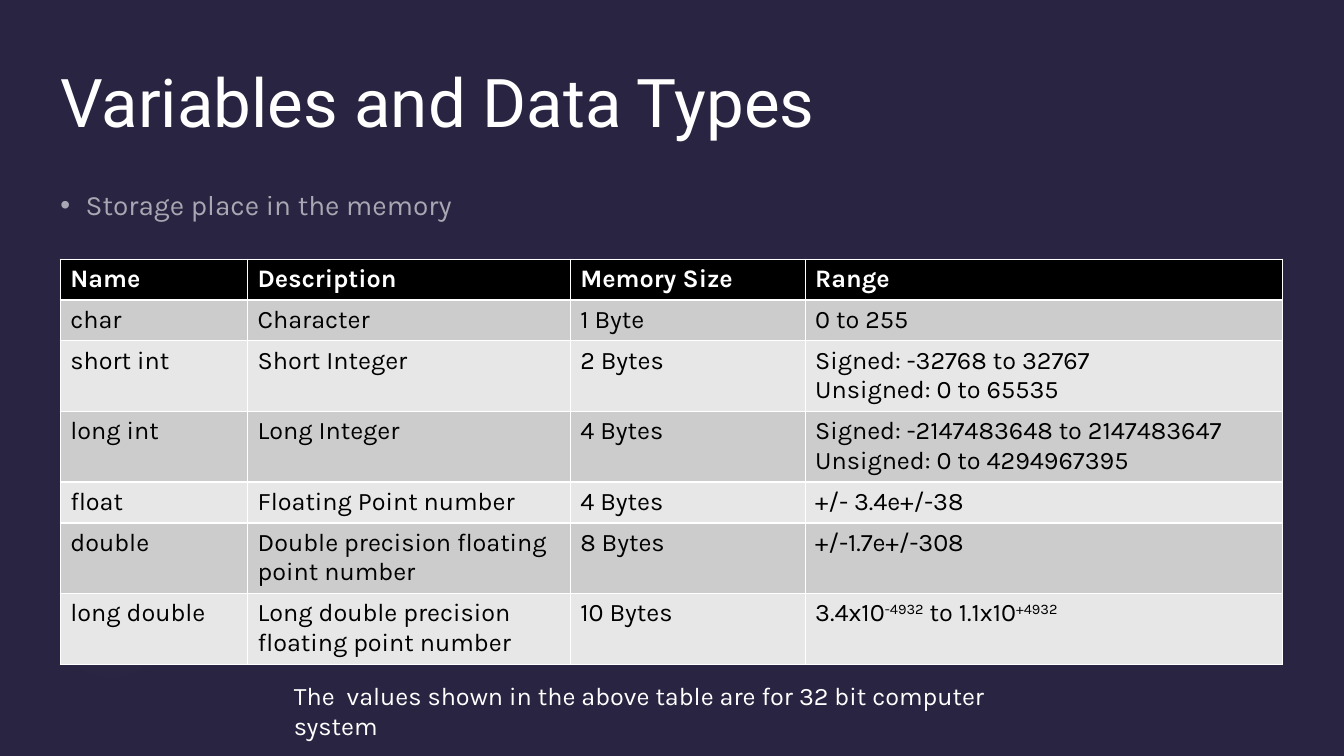
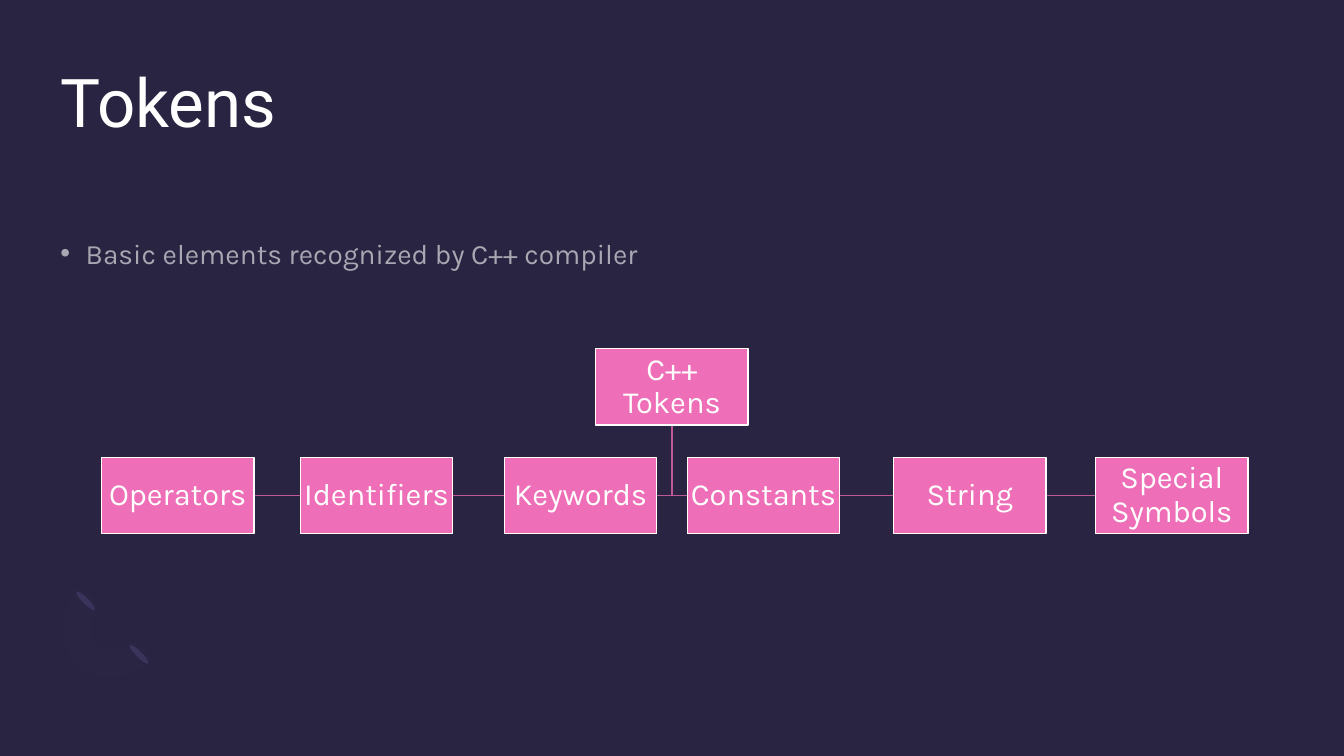
import lxml.etree
import pptx
import pptx.dml.color
import pptx.enum.shapes
import pptx.enum.text
import pptx.oxml.ns
import pptx.util

Cm = pptx.util.Cm
Pt = pptx.util.Pt

BACKGROUND = "292441"
WHITE = "FFFFFF"
BLACK = "000000"
PINK = "EE6EB8"
DARK_PINK = "BF5893"
CAP_PURPLE = "3A335B"
ARCH_PURPLE = "867BB6"
BAND_GRAYS = ("E7E7E7", "CCCCCC")

BODY_FONT = "Karla"
TITLE_FONT = "Roboto"

LEFT, CONTENT_WIDTH = 1.52, 30.81
TITLE_BOX = (LEFT, 1.52, CONTENT_WIDTH, 3.71)

DATA_TYPES = [
    ("Name", "Description", "Memory Size", "Range"),
    ("char", "Character", "1 Byte", "0 to 255"),
    ("short int", "Short Integer", "2 Bytes",
     "Signed: -32768 to 32767\nUnsigned: 0 to 65535"),
    ("long int", "Long Integer", "4 Bytes",
     "Signed: -2147483648 to 2147483647\nUnsigned: 0 to 4294967395"),
    ("float", "Floating Point number", "4 Bytes", "+/- 3.4e+/-38"),
    ("double", "Double precision floating point number", "8 Bytes", "+/-1.7e+/-308"),
    ("long double", "Long double precision floating point number", "10 Bytes",
     "3.4x10^-4932^ to 1.1x10^+4932^"),
]
COLUMN_WIDTHS = (4.72, 8.13, 5.92, 12.04)

# Token names with their offsets from the left edge of the diagram
TOKENS = [("Operators", 0), ("Identifiers", 5.01), ("Keywords", 10.15),
          ("Constants", 14.76), ("String", 19.96), ("Special Symbols", 25.05)]


def color(value):
    return pptx.dml.color.RGBColor.from_string(value)


def add_element(parent, tag, **attributes):
    element = lxml.etree.SubElement(parent, pptx.oxml.ns.qn(tag))
    for name, value in attributes.items():
        element.set(name, str(value))
    return element


def set_alpha(element, percent):
    """Make the first colour inside the element partly transparent."""
    add_element(element.xpath(".//a:srgbClr")[0], "a:alpha", val=percent * 1000)


def style(paragraph, size, font_color=WHITE, name=BODY_FONT, bold=False):
    font = paragraph.font
    font.size, font.name, font.bold = Pt(size), name, bold
    font.color.rgb = color(font_color)


def set_insets(frame, inset):
    frame.margin_left = frame.margin_right = Cm(inset)
    frame.margin_top = frame.margin_bottom = Cm(inset)


def add_text(slide, box, text, inset=0):
    """Add a wrapping text box and return its paragraph."""
    frame = slide.shapes.add_textbox(*map(Cm, box)).text_frame
    frame.word_wrap = True
    if inset is not None:
        set_insets(frame, inset)
    frame.text = text
    return frame.paragraphs[0]


def add_bullet(slide, top, text):
    paragraph = add_text(slide, (LEFT, top, CONTENT_WIDTH, 1.4), text)
    properties = paragraph._p.get_or_add_pPr()
    properties.set("marL", str(Cm(0.64)))
    properties.set("indent", str(-Cm(0.64)))
    add_element(properties, "a:buFont", typeface="Arial")
    add_element(properties, "a:buChar", char="•")
    paragraph.line_spacing = 1.1
    style(paragraph, 20)
    # Run-level colour, as the bullet and the text share its transparency
    run = paragraph.runs[0]
    run.font.color.rgb = color(WHITE)
    set_alpha(run._r, 60)


def bezier(start, first, second, end, steps=10):
    """Return points along a cubic curve, without its start."""
    corners = (start, first, second, end)
    points = []
    for step in range(1, steps + 1):
        t = step / steps
        weights = ((1 - t) ** 3, 3 * t * (1 - t) ** 2, 3 * t ** 2 * (1 - t), t ** 3)
        points.append(tuple(sum(weight * corner[axis] for weight, corner in zip(weights, corners))
                            for axis in (0, 1)))
    return points


def fill_plain(shape, fill_color):
    shape.shadow.inherit = False
    shape.fill.solid()
    shape.fill.fore_color.rgb = color(fill_color)
    shape.line.fill.background()


def add_outline(slide, points, close):
    """Add a freeform through points given in centimetres."""
    points = [(Cm(x), Cm(y)) for x, y in points]
    builder = slide.shapes.build_freeform(*points[0])
    builder.add_line_segments(points[1:], close=close)
    shape = builder.convert_to_shape()
    shape.shadow.inherit = False
    return shape


def add_arch(slide, left, top):
    """Draw the faint half ring with its two end caps."""
    for offset in (1.35, 0):
        cap = slide.shapes.add_shape(pptx.enum.shapes.MSO_SHAPE.OVAL, Cm(left + 0.66 + offset),
                                     Cm(top + 0.03 + offset), Cm(0.15), Cm(0.66))
        cap.rotation = 135
        fill_plain(cap, CAP_PURPLE)
    outer_middle, inner_middle = (0.51, 1.96), (1.02, 1.42)
    outline = [(0.64, 0), (1.09, 0.46)]
    outline += bezier(outline[-1], (0.79, 0.74), (0.76, 1.19), inner_middle)
    outline += bezier(inner_middle, (1.27, 1.68), (1.7, 1.65), (2.01, 1.37))
    outline.append((2.44, 1.83))
    outline += bezier(outline[-1], (1.88, 2.39), (0.99, 2.46), outer_middle)
    outline += bezier(outer_middle, (0, 1.45), (0.05, 0.58), outline[0])
    ring = add_outline(slide, [(left + x, top + y) for x, y in outline], close=True)
    fill_plain(ring, ARCH_PURPLE)
    set_alpha(ring._element.spPr, 1)


def add_slide(presentation, title):
    slide = presentation.slides.add_slide(presentation.slide_layouts[6])
    add_arch(slide, 1.42, 14.78)
    style(add_text(slide, TITLE_BOX, title), 48, name=TITLE_FONT)
    return slide


def fill_cell(cell, text, row):
    """Fill a cell; text between carets is raised."""
    is_header = row == 0
    cell.fill.solid()
    cell.fill.fore_color.rgb = color(BLACK if is_header else BAND_GRAYS[row % 2])
    frame = cell.text_frame
    for index, line in enumerate(text.split("\n")):
        paragraph = frame.add_paragraph() if index else frame.paragraphs[0]
        for part, piece in enumerate(line.split("^")):
            if piece:
                run = paragraph.add_run()
                run.text = piece
                if part % 2:
                    run._r.get_or_add_rPr().set("baseline", "30000")
        style(paragraph, 18, WHITE if is_header else BLACK, bold=is_header)


def add_data_table(slide, left, top, row_height=1.03):
    """Add the table; its white rules come from the default table style."""
    table = slide.shapes.add_table(len(DATA_TYPES), len(COLUMN_WIDTHS), Cm(left), Cm(top),
                                   Cm(sum(COLUMN_WIDTHS)),
                                   Cm(row_height * len(DATA_TYPES))).table
    for column, width in zip(table.columns, COLUMN_WIDTHS):
        column.width = Cm(width)
    for row, texts in enumerate(DATA_TYPES):
        for column, text in enumerate(texts):
            fill_cell(table.cell(row, column), text, row)


def add_token_box(slide, left, top, width, height, text):
    shape = slide.shapes.add_shape(pptx.enum.shapes.MSO_SHAPE.RECTANGLE,
                                   *map(Cm, (left, top, width, height)))
    fill_plain(shape, PINK)
    shape.line.color.rgb = color(WHITE)
    shape.line.width = Pt(1)
    frame = shape.text_frame
    frame.word_wrap = True
    frame.vertical_anchor = pptx.enum.text.MSO_ANCHOR.MIDDLE
    set_insets(frame, 0.05)
    frame.text = text
    paragraph = frame.paragraphs[0]
    paragraph.alignment = pptx.enum.text.PP_ALIGN.CENTER
    paragraph.line_spacing = 0.9
    style(paragraph, 22)


def add_branch(slide, points):
    branch = add_outline(slide, points, close=False)
    branch.fill.background()
    branch.line.color.rgb = color(DARK_PINK)
    branch.line.width = Pt(1)


def add_token_tree(slide, left, top, height, box_width=3.84, box_height=1.92):
    """Draw the root box above a row of tokens, with a bent line to each."""
    row_top = top + height - box_height
    row_middle = row_top + box_height / 2
    root_left = left + (TOKENS[2][1] + TOKENS[3][1]) / 2
    center = root_left + box_width / 2

    for _, offset in TOKENS:
        box_left = left + offset
        near_side = box_left if box_left > center else box_left + box_width
        add_branch(slide, [(center, top + box_height), (center, row_middle),
                           (near_side, row_middle)])
    add_token_box(slide, root_left, top, box_width, box_height, "C++ Tokens")
    for name, offset in TOKENS:
        add_token_box(slide, left + offset, row_top, box_width, box_height, name)


def add_data_types_slide(presentation):
    slide = add_slide(presentation, "Variables and Data Types")
    add_bullet(slide, 4.65, "Storage place in the memory")
    add_data_table(slide, LEFT, 6.53)
    note = "The  values shown in the above table are for 32 bit computer system"
    style(add_text(slide, (7.16, 17.02, 19.51, 1.02), note, inset=None), 18)


def add_tokens_slide(presentation):
    slide = add_slide(presentation, "Tokens")
    add_bullet(slide, 5.87, "Basic elements recognized by C++ compiler")
    add_token_tree(slide, 2.56, 8.79, 4.66)


def main():
    presentation = pptx.Presentation()
    presentation.slide_width, presentation.slide_height = Cm(33.87), Cm(19.05)
    background = presentation.slide_master.background.fill
    background.solid()
    background.fore_color.rgb = color(BACKGROUND)
    add_data_types_slide(presentation)
    add_tokens_slide(presentation)
    presentation.save("out.pptx")


if __name__ == "__main__":
    main()
